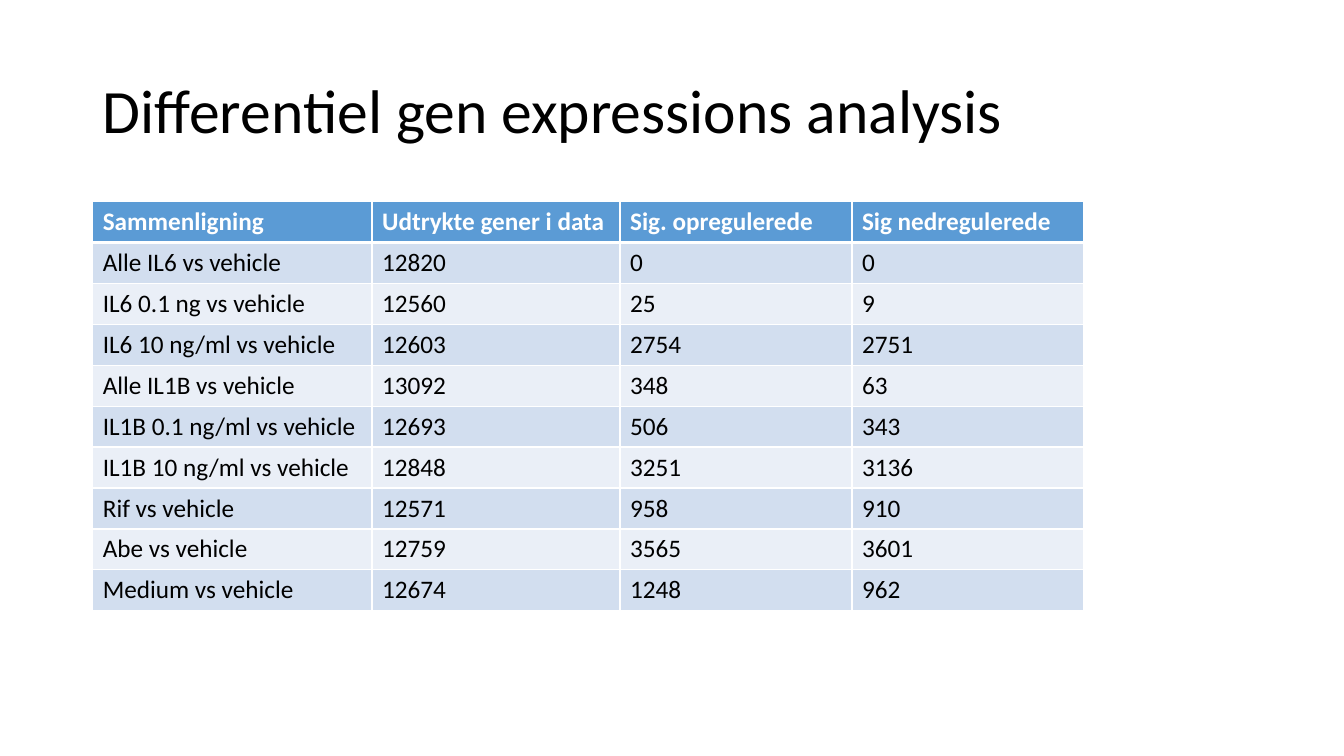
from dataclasses import dataclass

from lxml.etree import SubElement
from pptx import Presentation
from pptx.dml.color import RGBColor
from pptx.enum.text import MSO_ANCHOR, PP_ALIGN
from pptx.oxml.ns import qn
from pptx.util import Inches, Pt


@dataclass(frozen=True)
class Theme:
    font: str = "Calibri"
    title_size: int = 44
    table_size: int = 18
    text: str = "000000"
    header_text: str = "FFFFFF"
    header_fill: str = "5B9BD5"
    band_fills: tuple = ("D2DEEF", "EAEFF7")
    border: str = "FFFFFF"
    border_width: int = 1
    header_rule_width: int = 3


THEME = Theme()
TITLE = "Differentiel gen expressions analysis"
COLUMN_WIDTHS = (2.77, 2.46, 2.3, 2.3)
ROW_HEIGHT = 0.406
ROWS = (
    ("Sammenligning", "Udtrykte gener i data", "Sig. opregulerede", "Sig nedregulerede"),
    ("Alle IL6 vs vehicle", 12820, 0, 0),
    ("IL6 0.1 ng vs vehicle", 12560, 25, 9),
    ("IL6 10 ng/ml vs vehicle", 12603, 2754, 2751),
    ("Alle IL1B vs vehicle", 13092, 348, 63),
    ("IL1B 0.1 ng/ml vs vehicle", 12693, 506, 343),
    ("IL1B 10 ng/ml vs vehicle", 12848, 3251, 3136),
    ("Rif vs vehicle", 12571, 958, 910),
    ("Abe vs vehicle", 12759, 3565, 3601),
    ("Medium vs vehicle", 12674, 1248, 962),
)


def set_font(paragraph, size, color, bold=False):
    font = paragraph.font
    font.name = THEME.font
    font.size = Pt(size)
    font.bold = bold
    font.color.rgb = RGBColor.from_string(color)


def add_title(slide, text):
    title = slide.shapes.title
    title.left, title.top = Inches(0.92), Inches(0.4)
    title.width, title.height = Inches(11.5), Inches(1.45)
    frame = title.text_frame
    frame.text = text
    frame.vertical_anchor = MSO_ANCHOR.MIDDLE
    paragraph = frame.paragraphs[0]
    paragraph.alignment = PP_ALIGN.LEFT
    paragraph.line_spacing = 0.9
    set_font(paragraph, THEME.title_size, THEME.text)


def set_borders(cell, top, bottom):
    """Draw all four cell borders, with top and bottom widths in points."""
    properties = cell._tc.get_or_add_tcPr()
    widths = {"L": THEME.border_width, "R": THEME.border_width, "T": top, "B": bottom}
    for side, width in widths.items():
        line = SubElement(properties, qn(f"a:ln{side}"), w=str(Pt(width)))
        fill = SubElement(line, qn("a:solidFill"))
        SubElement(fill, qn("a:srgbClr"), val=THEME.border)


def format_cell(cell, value, row_index):
    is_header = row_index == 0
    thin, thick = THEME.border_width, THEME.header_rule_width
    set_borders(cell, thick if row_index == 1 else thin, thick if is_header else thin)
    fill = THEME.header_fill if is_header else THEME.band_fills[(row_index - 1) % 2]
    cell.fill.solid()
    cell.fill.fore_color.rgb = RGBColor.from_string(fill)
    cell.text = str(value)
    color = THEME.header_text if is_header else THEME.text
    set_font(cell.text_frame.paragraphs[0], THEME.table_size, color, is_header)


def add_results_table(slide, rows):
    table = slide.shapes.add_table(
        len(rows), len(COLUMN_WIDTHS), Inches(0.92), Inches(2),
        Inches(sum(COLUMN_WIDTHS)), Inches(ROW_HEIGHT * len(rows)),
    ).table
    for column, width in zip(table.columns, COLUMN_WIDTHS):
        column.width = Inches(width)
    for row_index, values in enumerate(rows):
        for column_index, value in enumerate(values):
            format_cell(table.cell(row_index, column_index), value, row_index)


def main():
    presentation = Presentation()
    presentation.slide_width = Inches(13.33)
    presentation.slide_height = Inches(7.5)
    title_only = presentation.slide_layouts.get_by_name("Title Only")
    slide = presentation.slides.add_slide(title_only)
    add_title(slide, TITLE)
    add_results_table(slide, ROWS)
    presentation.save("out.pptx")


if __name__ == "__main__":
    main()
